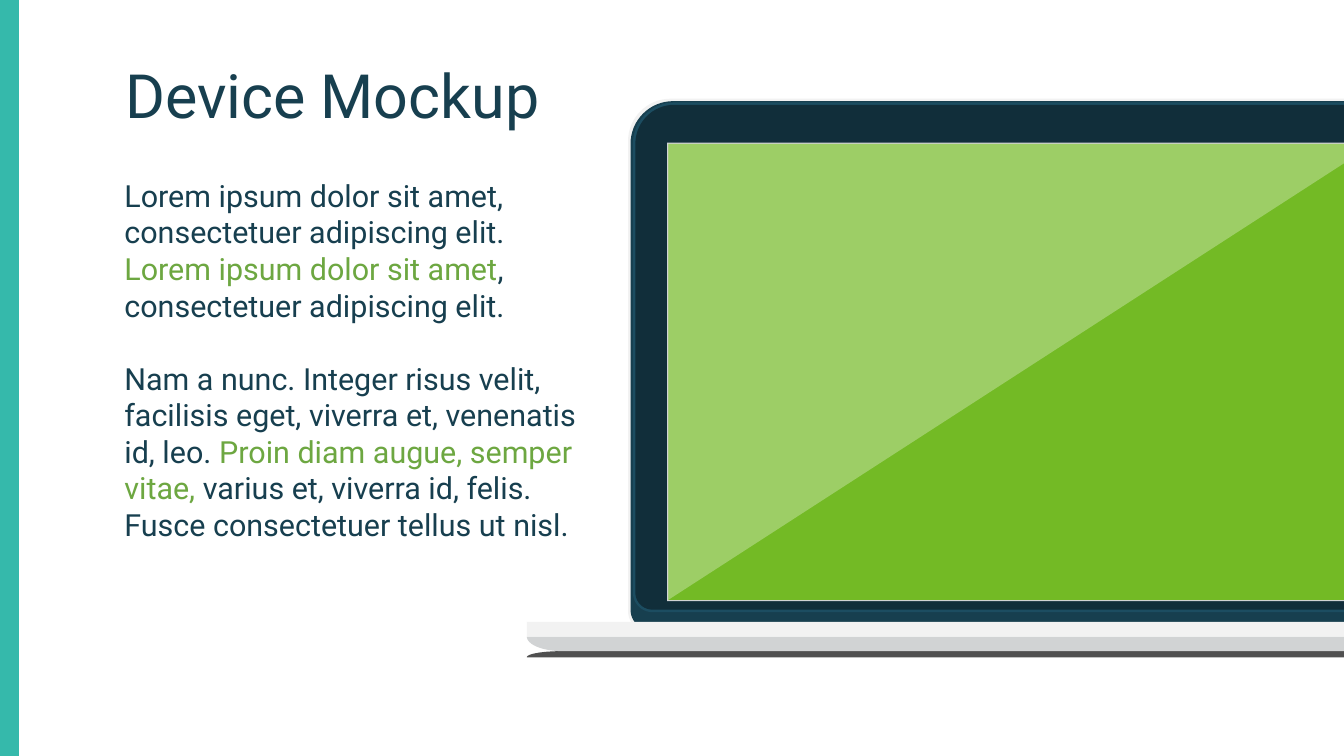
from math import cos, pi, sin

from lxml import etree
from pptx import Presentation
from pptx.dml.color import RGBColor
from pptx.enum.shapes import MSO_CONNECTOR, MSO_SHAPE
from pptx.enum.text import MSO_ANCHOR, MSO_AUTO_SIZE, PP_ALIGN
from pptx.oxml.ns import qn
from pptx.util import Inches, Pt

RECTANGLE = MSO_SHAPE.RECTANGLE
STRAIGHT = MSO_CONNECTOR.STRAIGHT
MIDDLE, TOP = MSO_ANCHOR.MIDDLE, MSO_ANCHOR.TOP
CENTER, LEFT = PP_ALIGN.CENTER, PP_ALIGN.LEFT
NO_AUTOFIT = MSO_AUTO_SIZE.NONE

SLIDE_W, SLIDE_H = 11.02, 6.2
FONT = "Roboto"
NAVY, GREEN, TEAL = "173F4F", "6DA741", "35B9AB"
PALE, SILVER = "F2F2F2", "D1D3D4"
ARC_STEPS = 16

PARAGRAPHS = [
    [("Lorem ipsum dolor sit amet, consectetuer adipiscing elit. ", NAVY),
     ("Lorem ipsum dolor sit amet", GREEN),
     (", consectetuer adipiscing elit.", NAVY)],
    [("Nam a nunc. Integer risus velit, facilisis eget, viverra et, "
      "venenatis id, leo. ", NAVY),
     ("Proin diam augue, semper vitae,", GREEN),
     (" varius et, viverra id, felis. Fusce consectetuer tellus ut nisl.",
      NAVY)],
]


def rgb(value):
    return RGBColor.from_string(value)


def paint(shape, color):
    shape.shadow.inherit = False
    shape.fill.solid()
    shape.fill.fore_color.rgb = rgb(color)
    shape.line.fill.background()
    return shape


def add_block(slide, left, top, width, height, color):
    block = slide.shapes.add_shape(
        RECTANGLE, Inches(left), Inches(top), Inches(width), Inches(height))
    return paint(block, color)


def add_outline(slide, points, color):
    points = [(Inches(x), Inches(y)) for x, y in points]
    builder = slide.shapes.build_freeform(*points[0])
    builder.add_line_segments(points[1:], close=True)
    return paint(builder.convert_to_shape(), color)


def add_panel(slide, left, top, right, bottom, color,
              top_corner=(0, 0), bottom_corner=(0, 0)):
    """Panel with elliptical corners on its left side only."""
    points = [(right, top)]
    turns = [i / ARC_STEPS * pi / 2 for i in range(ARC_STEPS + 1)]
    rx, ry = top_corner
    points += [(left + rx * (1 - sin(t)), top + ry * (1 - cos(t)))
               for t in turns]
    rx, ry = bottom_corner
    points += [(left + rx * (1 - cos(t)), bottom - ry * (1 - sin(t)))
               for t in turns]
    points.append((right, bottom))
    return add_outline(slide, points, color)


def add_run(paragraph, text, size, color):
    run = paragraph.add_run()
    run.text = text
    run.font.name, run.font.size = FONT, Pt(size)
    run.font.color.rgb = rgb(color)


def place_text(placeholder, left, top, width, height, anchor):
    placeholder.left, placeholder.top = Inches(left), Inches(top)
    placeholder.width, placeholder.height = Inches(width), Inches(height)
    frame = placeholder.text_frame
    frame.margin_left = frame.margin_right = 0
    frame.margin_top = frame.margin_bottom = 0
    frame.word_wrap = True
    frame.auto_size = NO_AUTOFIT
    frame.vertical_anchor = anchor
    return frame


def fill_title(slide, left, top, width, height):
    frame = place_text(slide.shapes.title, left, top, width, height, MIDDLE)
    heading = frame.paragraphs[0]
    heading.alignment = CENTER
    add_run(heading, "Device Mockup", 36, NAVY)


def fill_body(slide, left, top, width, height):
    frame = place_text(slide.placeholders[1], left, top, width, height, TOP)
    for i, pieces in enumerate(PARAGRAPHS):
        paragraph = frame.add_paragraph() if i else frame.paragraphs[0]
        properties = paragraph._p.get_or_add_pPr()
        properties.set("marL", str(Inches(0.47)))
        properties.set("indent", "0")
        etree.SubElement(properties, qn("a:buNone"))
        paragraph.alignment = LEFT
        paragraph.line_spacing = 1.0
        paragraph.space_before = Pt(21.6 if i else 0)
        for text, color in pieces:
            add_run(paragraph, text, 18, color)


def add_side_bar(slide, x, top, bottom):
    bar = slide.shapes.add_connector(
        STRAIGHT, Inches(x), Inches(top), Inches(x), Inches(bottom))
    bar.line.color.rgb = rgb(TEAL)
    bar.line.width = Pt(14.4)
    etree.SubElement(bar._element.spPr, qn("a:effectLst"))


def add_lid(slide, left, top, right):
    # Nested shells: inset from left, inset from top, height, corner radii
    shells = [(0, 0, 4.37, 0.35, 0.17, PALE),
              (0.02, 0.02, 4.34, 0.35, 0.17, NAVY),
              (0.04, 0.03, 4.18, 0.34, 0.16, "1C4D61"),
              (0.06, 0.05, 4.14, 0.32, 0.14, "112E3A")]
    for dx, dy, height, upper, lower, color in shells:
        add_panel(slide, left + dx, top + dy, right, top + dy + height, color,
                  (upper, upper), (lower, lower))


def add_screen(slide, left, top, width, height):
    edge = 0.01
    add_block(slide, left, top, width, height, SILVER)
    left, top, right, bottom = (left + edge, top + edge,
                                left + width, top + height - edge)
    add_block(slide, left, top, right - left, bottom - top, "73BA25")
    # Translucent reflection
    glare = add_outline(slide, [(left, bottom), (right, top + 0.16),
                                (right, top), (left, top)], "FFFFFF")
    tint = glare.fill._xPr.find(qn("a:solidFill"))[0]
    etree.SubElement(tint, qn("a:alpha")).set("val", "30000")


def add_base(slide, left, top, right):
    layer, foot, curve = 0.12, 0.05, 0.29
    middle, lower = top + layer, top + 2 * layer
    add_panel(slide, left, lower, right, lower + foot, "505050",
              top_corner=(curve, foot))
    add_panel(slide, left, middle, right, lower, SILVER,
              bottom_corner=(curve, layer))
    add_block(slide, left, top, right - left, layer, PALE)


def main():
    deck = Presentation()
    deck.slide_width, deck.slide_height = Inches(SLIDE_W), Inches(SLIDE_H)
    slide = deck.slides.add_slide(deck.slide_layouts[1])

    # Text column
    fill_title(slide, 0.55, 0.25, 4.35, 1.04)
    fill_body(slide, 0.55, 1.45, 4.35, 3.45)

    # Laptop, running off the right edge
    add_lid(slide, 5.15, 0.81, SLIDE_W)
    add_screen(slide, 5.47, 1.17, SLIDE_W - 5.47, 3.76)
    add_base(slide, 4.32, 5.1, SLIDE_W)

    # Accent bar
    add_side_bar(slide, 0.06, 0, SLIDE_H)
    deck.save("out.pptx")


if __name__ == "__main__":
    main()
